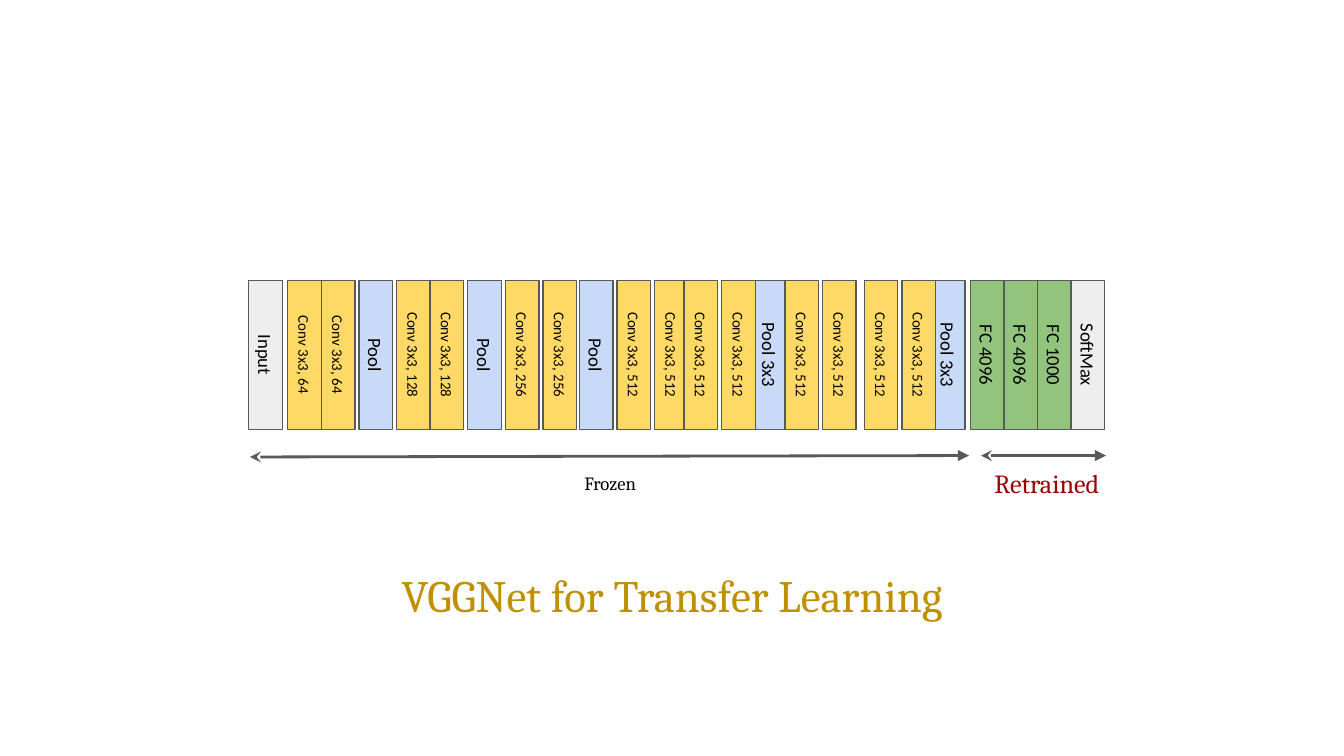
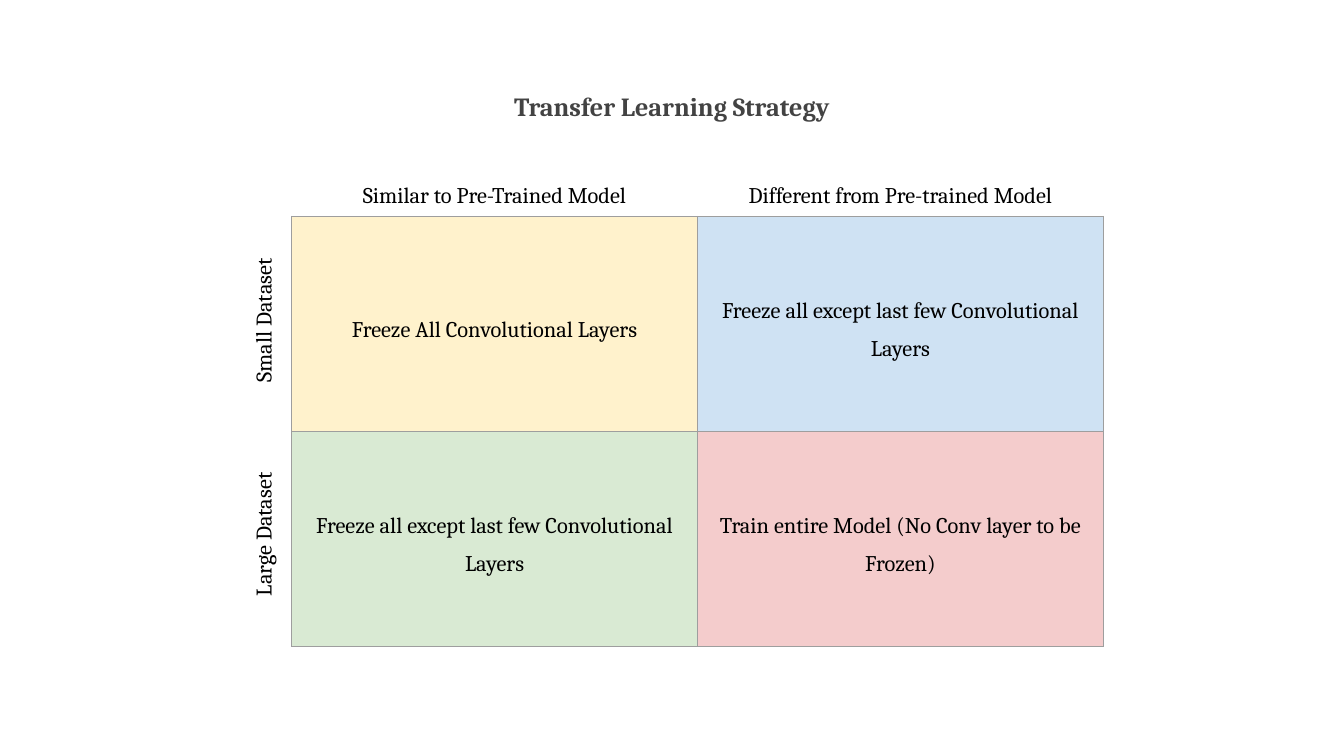
from lxml.etree import SubElement
from pptx import Presentation
from pptx.dml.color import RGBColor
from pptx.enum.shapes import MSO_CONNECTOR, MSO_SHAPE
from pptx.enum.text import MSO_ANCHOR, MSO_AUTO_SIZE, PP_ALIGN
from pptx.oxml import parse_xml
from pptx.oxml.ns import nsdecls, qn
from pptx.util import Inches, Pt

BLACK = RGBColor(0x00, 0x00, 0x00)
GOLD = RGBColor(0xBF, 0x90, 0x00)
DARK_RED = RGBColor(0x99, 0x00, 0x00)
CHARCOAL = RGBColor(0x43, 0x43, 0x43)
OUTLINE = RGBColor(0x59, 0x59, 0x59)
BORDER = RGBColor(0x9E, 0x9E, 0x9E)
GREY = RGBColor(0xEE, 0xEE, 0xEE)
YELLOW = RGBColor(0xFF, 0xD9, 0x66)
BLUE = RGBColor(0xC9, 0xDA, 0xF8)
GREEN = RGBColor(0x93, 0xC4, 0x7D)
PALE_YELLOW = RGBColor(0xFF, 0xF2, 0xCC)
PALE_BLUE = RGBColor(0xCF, 0xE2, 0xF3)
PALE_GREEN = RGBColor(0xD9, 0xEA, 0xD3)
PALE_RED = RGBColor(0xF4, 0xCC, 0xCC)
SERIF = "Cambria"
SANS = "Calibri"
INSET = Inches(0.1)


def write(frame, text, size, color=BLACK, font=SERIF):
    frame.word_wrap = True
    frame.auto_size = MSO_AUTO_SIZE.NONE
    frame.vertical_anchor = MSO_ANCHOR.MIDDLE
    frame.margin_left = frame.margin_right = INSET
    frame.margin_top = frame.margin_bottom = INSET
    paragraph = frame.paragraphs[0]
    paragraph.alignment = PP_ALIGN.CENTER
    run = paragraph.add_run()
    run.text = text
    run.font.size = Pt(size)
    run.font.name = font
    run.font.color.rgb = color
    return paragraph


def add_label(slide, text, left, top, width, height, size, color=BLACK):
    label = slide.shapes.add_textbox(Inches(left), Inches(top), Inches(width), Inches(height))
    write(label.text_frame, text, size, color)
    return label


prs = Presentation()
prs.slide_width = Inches(10)
prs.slide_height = prs.slide_width * 9 // 16
title_only = prs.slide_layouts[5]

network = prs.slides.add_slide(title_only)
heading = network.shapes.title
heading.left, heading.top = Inches(1.03), Inches(4.19)
heading.width, heading.height = Inches(7.94), Inches(0.47)
write(heading.text_frame, "VGGNet for Transfer Learning", 24, GOLD)

LAYER_LENGTH, LAYER_THICKNESS, LAYER_MIDDLE = 1.11, 0.25, 2.64
layers = [
    ("Pool", BLUE, 10, [2.67, 3.48, 4.31]),
    ("Pool 3x3", BLUE, 10, [5.6, 6.93]),
    ("Input", GREY, 10, [1.85]),
    ("Conv 3x3, 64", YELLOW, 8, [2.14, 2.39]),
    ("Conv 3x3, 128", YELLOW, 8, [2.95, 3.2]),
    ("Conv 3x3, 256", YELLOW, 8, [3.76, 4.04]),
    ("Conv 3x3, 512", YELLOW, 8, [4.59, 4.87, 5.09, 5.37, 5.84, 6.12, 6.43, 6.71]),
    ("FC 4096", GREEN, 10, [7.22, 7.47]),
    ("FC 1000", GREEN, 10, [7.72]),
    ("SoftMax", GREY, 10, [7.97]),
]
for name, color, size, lefts in layers:
    for left in lefts:
        layer = network.shapes.add_shape(
            MSO_SHAPE.RECTANGLE,
            Inches(left + (LAYER_THICKNESS - LAYER_LENGTH) / 2),
            Inches(LAYER_MIDDLE - LAYER_THICKNESS / 2),
            Inches(LAYER_LENGTH),
            Inches(LAYER_THICKNESS),
        )
        layer.rotation = 90
        layer.shadow.inherit = False
        layer.fill.solid()
        layer.fill.fore_color.rgb = color
        layer.line.color.rgb = OUTLINE
        layer.line.width = Pt(0.75)
        write(layer.text_frame, name, size, font=SANS)

spans = [
    ("Frozen", 1.86, 3.4, 7.21, 3.94, 10, BLACK),
    ("Retrained", 7.3, 3.39, 8.23, 7.19, 14, DARK_RED),
]
for name, start, start_height, end, label_left, size, color in spans:
    span = network.shapes.add_connector(
        MSO_CONNECTOR.STRAIGHT, Inches(start), Inches(start_height), Inches(end), Inches(3.39)
    )
    span.line.color.rgb = OUTLINE
    span.line.width = Pt(1.5)
    properties = span._element.spPr
    outline = properties.get_or_add_ln()
    SubElement(outline, qn("a:headEnd"), type="stealth")
    SubElement(outline, qn("a:tailEnd"), type="triangle")
    SubElement(properties, qn("a:effectLst"))
    add_label(network, name, label_left, 3.48, 1.2, 0.23, size, color)

strategy = prs.slides.add_slide(title_only)
heading = strategy.shapes.title
heading.left, heading.top = Inches(3.29), Inches(0.37)
heading.width, heading.height = Inches(3.42), Inches(0.81)
paragraph = write(heading.text_frame, "Transfer Learning Strategy", 14, CHARCOAL)
paragraph.line_spacing = 1.15
paragraph.space_after = Pt(16)
paragraph.runs[0].font.bold = True

GRID_LEFT, GRID_TOP, COLUMN, ROW = 2.17, 1.61, 3.02, 1.6
choices = [
    [
        ("Freeze All Convolutional Layers", PALE_YELLOW),
        ("Freeze all except last few Convolutional Layers", PALE_BLUE),
    ],
    [
        ("Freeze all except last few Convolutional Layers", PALE_GREEN),
        ("Train entire Model (No Conv layer to be Frozen)", PALE_RED),
    ],
]
grid = strategy.shapes.add_table(
    2, 2, Inches(GRID_LEFT), Inches(GRID_TOP), Inches(2 * COLUMN), Inches(2 * ROW)
).table
grid.first_row = False
grid.horz_banding = False
for column in grid.columns:
    column.width = Inches(COLUMN)
for row, row_choices in zip(grid.rows, choices):
    row.height = Inches(ROW)
    for cell, (advice, color) in zip(row.cells, row_choices):
        cell.vertical_anchor = MSO_ANCHOR.MIDDLE
        cell.margin_left = cell.margin_right = INSET
        cell.margin_top = cell.margin_bottom = INSET
        paragraph = cell.text_frame.paragraphs[0]
        paragraph.alignment = PP_ALIGN.CENTER
        paragraph.line_spacing = 1.5
        run = paragraph.add_run()
        run.text = advice
        run.font.size = Pt(12)
        run.font.name = SERIF
        run.font.color.rgb = BLACK
        for side in ("lnL", "lnR", "lnT", "lnB"):
            cell._tc.get_or_add_tcPr().append(parse_xml(
                f'<a:{side} {nsdecls("a")} w="{Pt(0.75)}"><a:solidFill>'
                f'<a:srgbClr val="{BORDER}"/></a:solidFill></a:{side}>'
            ))
        cell.fill.solid()
        cell.fill.fore_color.rgb = color

for index, similarity in enumerate(["Similar to Pre-Trained Model", "Different from Pre-trained Model"]):
    add_label(strategy, similarity, GRID_LEFT + index * COLUMN, 1.29, COLUMN, 0.31, 12)
for index, dataset in enumerate(["Small Dataset", "Large Dataset"]):
    row_label = add_label(strategy, dataset, 1.24, 2.23 + index * 1.59, 1.43, 0.31, 12)
    row_label.rotation = 270

prs.save("out.pptx")
